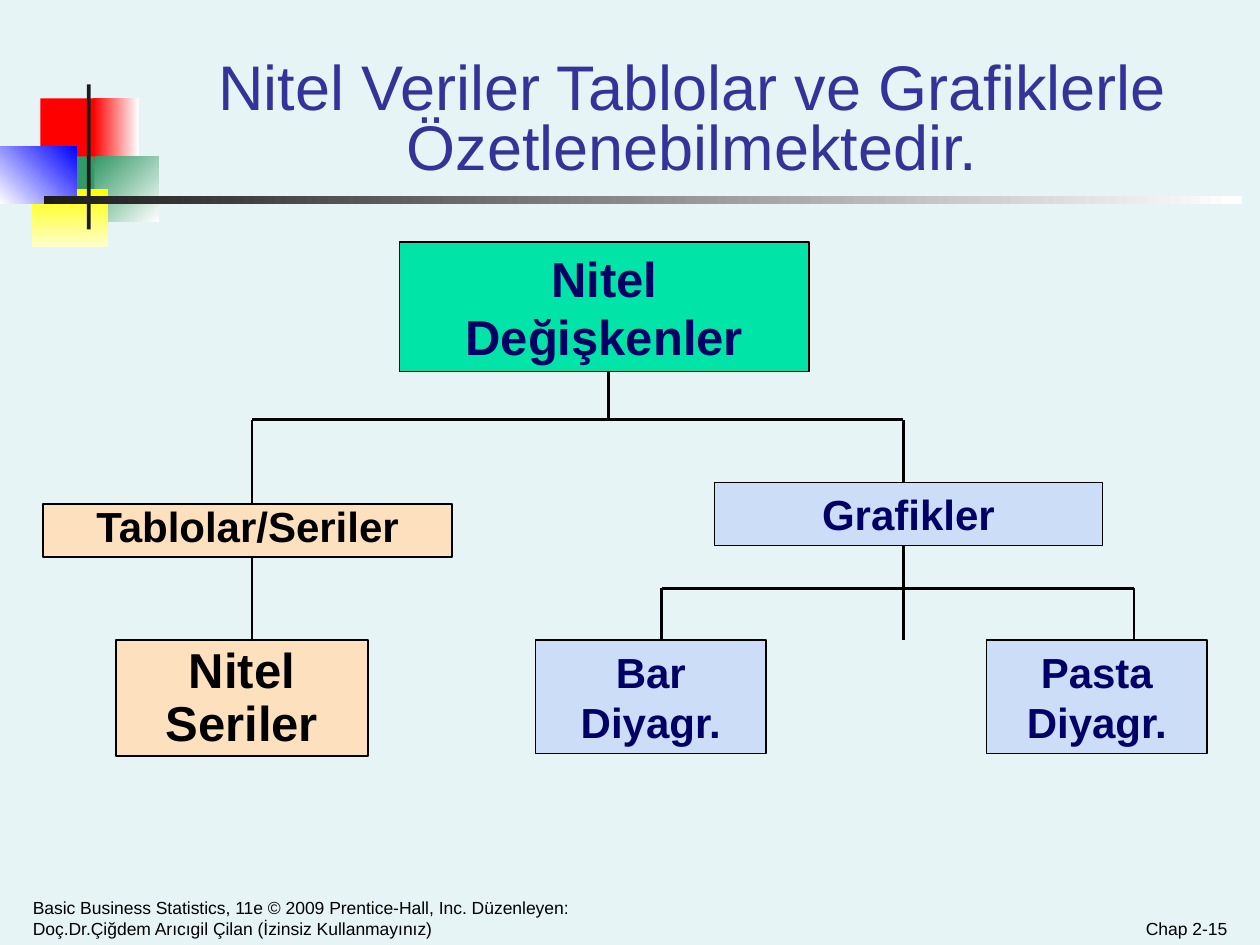
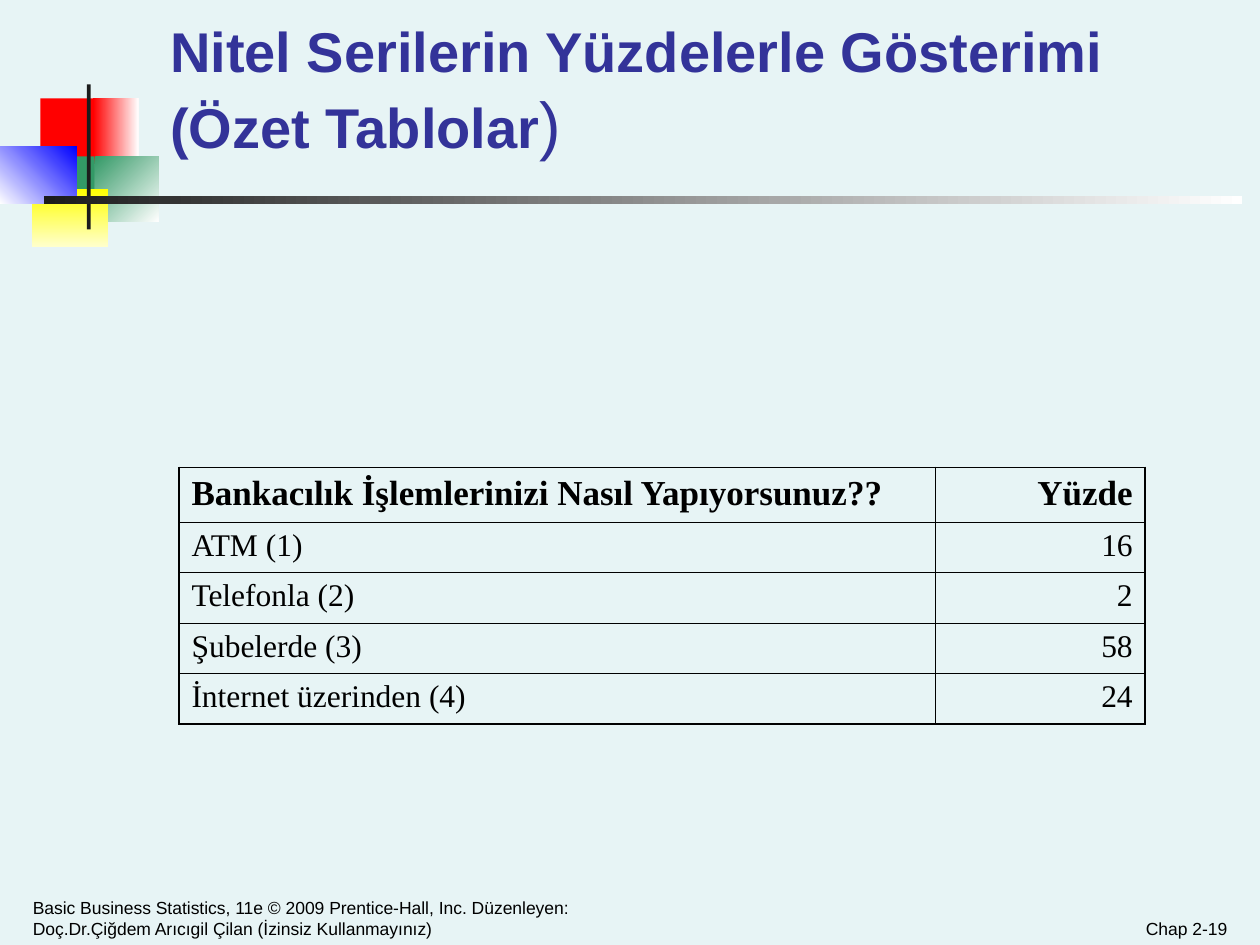
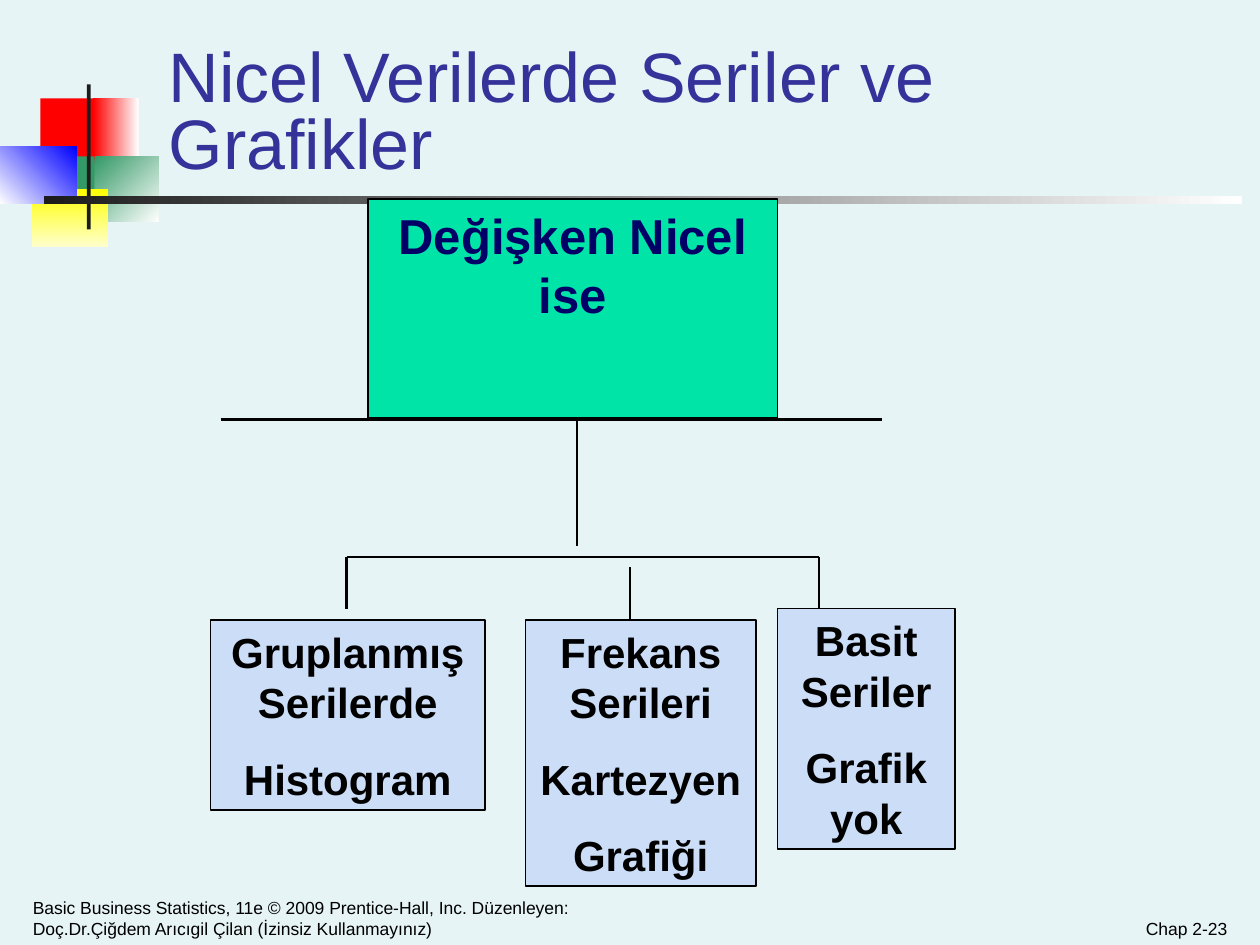
from dataclasses import dataclass
from typing import NamedTuple

from lxml.etree import SubElement
from pptx import Presentation
from pptx.dml.color import RGBColor
from pptx.enum.shapes import MSO_CONNECTOR, MSO_SHAPE
from pptx.enum.text import MSO_ANCHOR, PP_ALIGN
from pptx.oxml import parse_xml
from pptx.oxml.ns import nsdecls, qn
from pptx.presentation import Presentation as Deck
from pptx.slide import Slide
from pptx.table import _Cell as Cell
from pptx.text.text import Font, TextFrame
from pptx.util import Inches, Pt


@dataclass(frozen=True)
class Theme:
    background: str = "E7F4F5"
    title: str = "333399"
    ink: str = "000000"
    navy: str = "000066"
    rule: str = "1C1C1C"
    white: str = "FFFFFF"
    red: str = "FF0000"
    green: str = "339966"
    yellow: str = "FFFF00"
    pale_yellow: str = "FFFFCC"
    blue: str = "0000FF"
    root_fill: str = "00E4A8"
    chart_fill: str = "CBDDF7"
    series_fill: str = "FDE0BD"
    font: str = "Arial"
    table_font: str = "Times New Roman"
    footer_size: float = 10
    table_size: float = 18
    table_head_size: float = 20
    branch_size: float = 24
    root_size: float = 28
    box_line: float = 1
    connector_line: float = 1.5
    outer_border: float = 1.08
    inner_border: float = 0.45


THEME = Theme()
FOOTER = ("Basic Business Statistics, 11e © 2009 Prentice-Hall, Inc. Düzenleyen: "
          "Doç.Dr.Çiğdem Arıcıgil Çilan (İzinsiz Kullanmayınız)")


class Area(NamedTuple):
    left: float
    top: float
    width: float
    height: float

    def lengths(self) -> tuple:
        return tuple(Inches(value) for value in self)


class Ornament(NamedTuple):
    area: Area
    color: str
    end_color: str | None = None
    angle: int = 0


class TitleRun(NamedTuple):
    text: str
    size: float
    bold: bool = False


class Title(NamedTuple):
    area: Area
    runs: tuple[TitleRun, ...]
    align: PP_ALIGN = PP_ALIGN.LEFT
    line_spacing: float = 0.8


class BoxStyle(NamedTuple):
    fill: str
    text_color: str
    size: float
    line_spacing: float = 1.0


class Box(NamedTuple):
    area: Area
    paragraphs: tuple[str, ...]
    style: BoxStyle


class Line(NamedTuple):
    start_x: float
    start_y: float
    end_x: float
    end_y: float


ORNAMENTS = (
    Ornament(Area(0.32, 0.78, 0.48, 0.52), THEME.red),
    Ornament(Area(0.74, 0.78, 0.36, 0.52), THEME.red, THEME.white),
    Ornament(Area(0.75, 1.24, 0.51, 0.52), THEME.green, THEME.white, 45),
    Ornament(Area(0.43, 1.24, 0.32, 0.52), THEME.green),
    Ornament(Area(0.25, 1.5, 0.61, 0.46), THEME.yellow, THEME.pale_yellow, 90),
    Ornament(Area(0, 1.16, 0.61, 0.46), THEME.white, THEME.blue, 315),
    Ornament(Area(0.69, 0.67, 0.03, 1.15), THEME.rule),
    Ornament(Area(0.35, 1.56, 9.51, 0.06), THEME.rule, THEME.white),
)

ROOT = BoxStyle(THEME.root_fill, THEME.navy, THEME.root_size)
CHART = BoxStyle(THEME.chart_fill, THEME.navy, THEME.branch_size)
CHART_DETAIL = BoxStyle(THEME.chart_fill, THEME.ink, THEME.branch_size)
SERIES = BoxStyle(THEME.series_fill, THEME.ink, THEME.branch_size, 0.8)
SERIES_DETAIL = BoxStyle(THEME.series_fill, THEME.ink, THEME.root_size, 0.9)

QUALITATIVE_LINES = (
    Line(4.83, 2.95, 4.83, 3.33),
    Line(2, 3.33, 7.17, 3.33),
    Line(2, 3.33, 2, 4),
    Line(7.17, 3.33, 7.17, 3.83),
    Line(7.17, 4.33, 7.17, 5.08),
    Line(5.25, 4.67, 9, 4.67),
    Line(5.25, 4.67, 5.25, 5.08),
    Line(9, 4.67, 9, 5.08),
    Line(2, 4.42, 2, 5.08),
)
QUALITATIVE_BOXES = (
    Box(Area(3.17, 1.92, 3.25, 1.03), ("Nitel Değişkenler",), ROOT),
    Box(Area(5.67, 3.83, 3.08, 0.5), ("Grafikler",), CHART),
    Box(Area(7.83, 5.08, 1.75, 0.9), ("Pasta Diyagr.",), CHART),
    Box(Area(4.25, 5.08, 1.83, 0.9), ("Bar Diyagr.",), CHART),
    Box(Area(0.34, 4, 3.25, 0.42), ("Tablolar/Seriler",), SERIES),
    Box(Area(0.92, 5.08, 2, 0.92), ("Nitel Seriler",), SERIES_DETAIL),
)

QUANTITATIVE_LINES = (
    Line(1.75, 3.33, 7, 3.33),
    Line(4.58, 3.33, 4.58, 3.83),
    Line(4.58, 3.83, 4.58, 4.33),
    Line(2.75, 4.42, 6.5, 4.42),
    Line(2.75, 4.42, 2.75, 4.83),
    Line(5, 4.5, 5, 4.92),
    Line(6.5, 4.42, 6.5, 4.83),
)
QUANTITATIVE_BOXES = (
    Box(Area(2.92, 1.58, 3.25, 1.74), ("Değişken Nicel ise",), ROOT),
    Box(Area(1.67, 4.92, 2.18, 1.51), ("Gruplanmış Serilerde", "Histogram"), CHART_DETAIL),
    Box(Area(4.17, 4.92, 1.83, 2.11), ("Frekans Serileri", "Kartezyen", "Grafiği"), CHART_DETAIL),
    Box(Area(6.17, 4.83, 1.41, 1.91), ("Basit Seriler", "Grafik yok"), CHART_DETAIL),
)

BANKING_AREA = Area(1.42, 3.71, 7.67, 2.03)
BANKING_COLUMNS = (6, 1.67)
BANKING_HEAD_HEIGHT, BANKING_ROW_HEIGHT = 0.43, 0.4
BANKING_ROWS = (
    ("Bankacılık İşlemlerinizi Nasıl Yapıyorsunuz??", "Yüzde"),
    ("ATM (1)", "16"),
    ("Telefonla (2)", "2"),
    ("Şubelerde (3)", "58"),
    ("İnternet üzerinden (4)", "24"),
)


def rgb(color: str) -> RGBColor:
    return RGBColor.from_string(color)


def style_font(font: Font, size: float, color: str, bold: bool = False,
               name: str = THEME.font) -> None:
    font.name = name
    font.size = Pt(size)
    font.bold = bold
    font.color.rgb = rgb(color)


def add_ornament(slide: Slide, ornament: Ornament) -> None:
    shape = slide.shapes.add_shape(MSO_SHAPE.RECTANGLE, *ornament.area.lengths())
    shape.shadow.inherit = False
    shape.line.fill.background()
    if ornament.end_color is None:
        shape.fill.solid()
        shape.fill.fore_color.rgb = rgb(ornament.color)
        return
    shape.fill.gradient()
    shape.fill.gradient_angle = -ornament.angle % 360
    for stop, color in zip(shape.fill.gradient_stops, (ornament.color, ornament.end_color)):
        stop.color.rgb = rgb(color)


def add_text_box(slide: Slide, area: Area) -> TextFrame:
    """Add a wrapping, bottom-anchored text box and return its frame."""
    frame = slide.shapes.add_textbox(*area.lengths()).text_frame
    frame.word_wrap = True
    frame.vertical_anchor = MSO_ANCHOR.BOTTOM
    frame.margin_left = frame.margin_right = Inches(0.09)
    return frame


def add_footer(slide: Slide, area: Area, text: str, align: PP_ALIGN) -> None:
    frame = add_text_box(slide, area)
    frame.text = text
    paragraph = frame.paragraphs[0]
    paragraph.alignment = align
    style_font(paragraph.runs[0].font, THEME.footer_size, THEME.ink)


def add_title(slide: Slide, title: Title) -> None:
    paragraph = add_text_box(slide, title.area).paragraphs[0]
    paragraph.alignment = title.align
    paragraph.line_spacing = title.line_spacing
    for title_run in title.runs:
        run = paragraph.add_run()
        run.text = title_run.text
        style_font(run.font, title_run.size, THEME.title, title_run.bold)


def add_framed_slide(presentation: Deck, title: Title, page: str) -> Slide:
    """Add a blank slide with the shared ornaments, footers and a title."""
    slide = presentation.slides.add_slide(presentation.slide_layouts[6])
    for ornament in ORNAMENTS:
        add_ornament(slide, ornament)
    add_footer(slide, Area(0.17, 7.15, 5.08, 0.35), FOOTER, PP_ALIGN.LEFT)
    add_footer(slide, Area(7.5, 7.15, 2.33, 0.35), page, PP_ALIGN.RIGHT)
    add_title(slide, title)
    return slide


def add_line(slide: Slide, line: Line) -> None:
    ends = (Inches(value) for value in line)
    connector = slide.shapes.add_connector(MSO_CONNECTOR.STRAIGHT, *ends)
    connector.line.color.rgb = rgb(THEME.ink)
    connector.line.width = Pt(THEME.connector_line)
    SubElement(connector._element.spPr, qn("a:effectLst"))


def add_box(slide: Slide, box: Box) -> None:
    style = box.style
    shape = slide.shapes.add_shape(MSO_SHAPE.RECTANGLE, *box.area.lengths())
    shape.shadow.inherit = False
    shape.fill.solid()
    shape.fill.fore_color.rgb = rgb(style.fill)
    shape.line.color.rgb = rgb(THEME.ink)
    shape.line.width = Pt(THEME.box_line)
    frame = shape.text_frame
    frame.word_wrap = True
    frame.vertical_anchor = MSO_ANCHOR.TOP
    frame.text = "\n".join(box.paragraphs)
    for index, paragraph in enumerate(frame.paragraphs):
        paragraph.alignment = PP_ALIGN.CENTER
        paragraph.line_spacing = style.line_spacing
        if index:
            paragraph.space_before = Pt(15)
        style_font(paragraph.runs[0].font, style.size, style.text_color, bold=True)


def add_tree(slide: Slide, lines: tuple[Line, ...], boxes: tuple[Box, ...]) -> None:
    for line in lines:
        add_line(slide, line)
    for box in boxes:
        add_box(slide, box)


def set_borders(cell: Cell, outer_sides: dict[str, bool]) -> None:
    """Draw the four borders, thicker on the outer sides of the table."""
    properties = cell._tc.get_or_add_tcPr()
    for index, (side, is_outer) in enumerate(outer_sides.items()):
        width = Pt(THEME.outer_border if is_outer else THEME.inner_border)
        properties.insert(index, parse_xml(
            f'<a:ln{side} {nsdecls("a")} w="{width}"><a:solidFill>'
            f'<a:srgbClr val="{THEME.ink}"/></a:solidFill></a:ln{side}>'))


def add_banking_table(slide: Slide) -> None:
    last_row, last_column = len(BANKING_ROWS) - 1, len(BANKING_COLUMNS) - 1
    table = slide.shapes.add_table(
        len(BANKING_ROWS), len(BANKING_COLUMNS), *BANKING_AREA.lengths()).table
    table.first_row = table.horz_banding = False
    for column, width in zip(table.columns, BANKING_COLUMNS):
        column.width = Inches(width)
    for row_index, texts in enumerate(BANKING_ROWS):
        is_head = row_index == 0
        table.rows[row_index].height = Inches(
            BANKING_HEAD_HEIGHT if is_head else BANKING_ROW_HEIGHT)
        for column_index, text in enumerate(texts):
            cell = table.cell(row_index, column_index)
            cell.fill.background()
            set_borders(cell, {"L": column_index == 0, "R": column_index == last_column,
                               "T": is_head, "B": row_index == last_row})
            cell.text_frame.text = text
            paragraph = cell.text_frame.paragraphs[0]
            paragraph.alignment = PP_ALIGN.RIGHT if column_index else PP_ALIGN.LEFT
            size = THEME.table_head_size if is_head else THEME.table_size
            style_font(paragraph.runs[0].font, size, THEME.ink, is_head, THEME.table_font)


def main() -> None:
    presentation = Presentation()
    presentation.slide_width, presentation.slide_height = Inches(10), Inches(7.5)
    background = presentation.slide_master.background.fill
    background.solid()
    background.fore_color.rgb = rgb(THEME.background)

    qualitative_title = Title(
        Area(1.33, 0.42, 8.33, 1.08),
        (TitleRun("Nitel Veriler Tablolar ve Grafiklerle Özetlenebilmektedir.", 36),),
        PP_ALIGN.CENTER)
    qualitative = add_framed_slide(presentation, qualitative_title, "Chap 2-15")
    add_tree(qualitative, QUALITATIVE_LINES, QUALITATIVE_BOXES)

    percentage_title = Title(
        Area(1.26, 0.25, 8.07, 1.08),
        (TitleRun("Nitel Serilerin Yüzdelerle Gösterimi (Özet Tablolar", 32, bold=True),
         TitleRun(")", 37)),
        line_spacing=1.0)
    add_banking_table(add_framed_slide(presentation, percentage_title, "Chap 2-19"))

    quantitative_title = Title(
        Area(1.25, 0.25, 7.42, 1.25),
        (TitleRun("Nicel Verilerde Seriler ve Grafikler", 40),))
    quantitative = add_framed_slide(presentation, quantitative_title, "Chap 2-23")
    add_tree(quantitative, QUANTITATIVE_LINES, QUANTITATIVE_BOXES)

    presentation.save("out.pptx")


if __name__ == "__main__":
    main()
